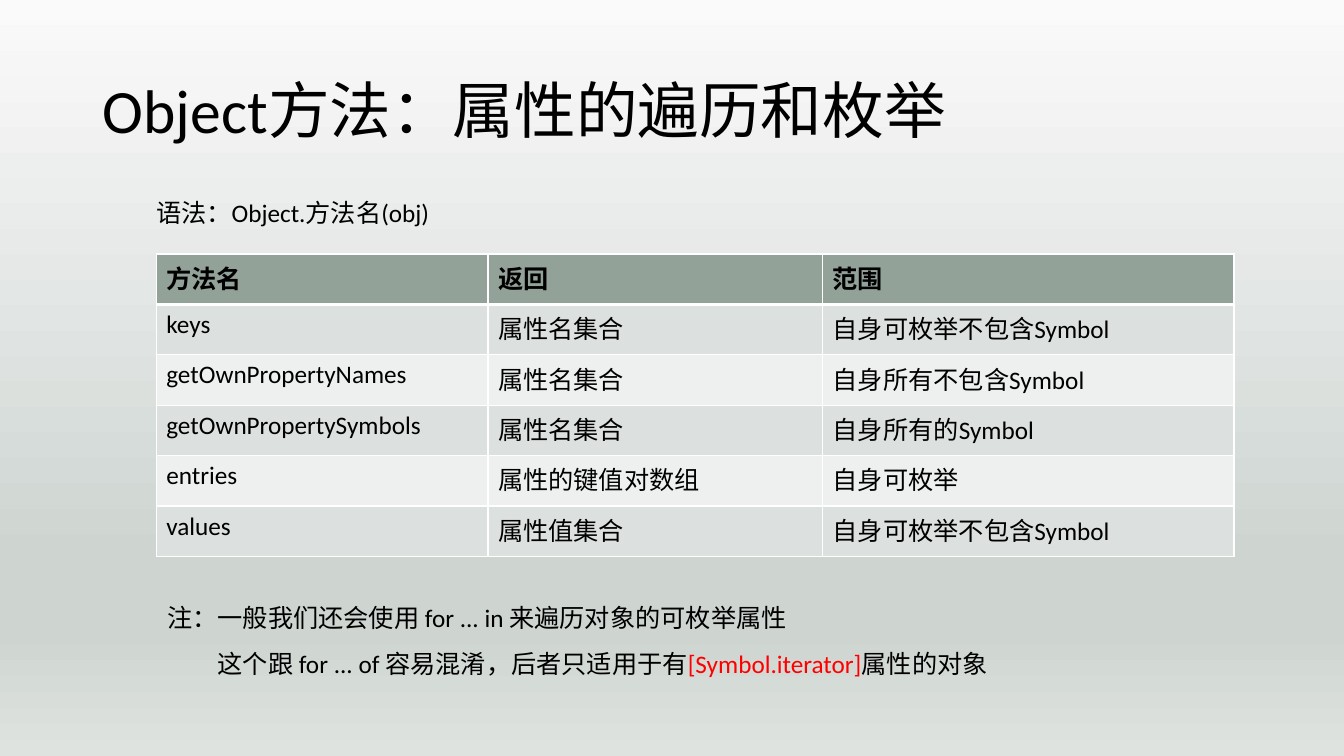
import pptx
import pptx.dml.color
import pptx.enum.text
import pptx.oxml
import pptx.oxml.ns
import pptx.util
from pptx.util import Inches

BLACK, WHITE, RED = "000000", "FFFFFF", "FF0000"
HEADER_FILL, BAND_FILLS = "93A299", ("DCE0DE", "EEF0EF")
BACKGROUND_STOPS = ((0, "FAFAFA"), (74, "CED5D1"), (83, "CED5D1"), (100, "DFE3E0"))
COLUMN_WIDTHS = (3.29, 3.32, 4.08)
ROW_HEIGHT = 0.5
METHODS = (
    ("方法名", "返回", "范围"),
    ("keys", "属性名集合", "自身可枚举不包含Symbol"),
    ("getOwnPropertyNames", "属性名集合", "自身所有不包含Symbol"),
    ("getOwnPropertySymbols", "属性名集合", "自身所有的Symbol"),
    ("entries", "属性的键值对数组", "自身可枚举"),
    ("values", "属性值集合", "自身可枚举不包含Symbol"),
)


def color(value):
    """Turn a hex string into a colour."""
    return pptx.dml.color.RGBColor.from_string(value)


def apply_format(target, values):
    """Set each named attribute on the target."""
    for name, value in values.items():
        setattr(target, name, value)


def add_run(paragraph, text, size=18, bold=False, fill=BLACK):
    """Append a formatted run to a paragraph."""
    run = paragraph.add_run()
    run.text = text
    apply_format(run.font, {"name": "Calibri", "size": pptx.util.Pt(size), "bold": bold})
    run.font.color.rgb = color(fill)


def add_text(slide, box, paragraphs, size=18, anchor="TOP"):
    """Add a text box from (line spacing, indent, runs) paragraphs."""
    shape = slide.shapes.add_textbox(*map(Inches, box))
    frame = shape.text_frame
    apply_format(frame, {
        "word_wrap": True,
        "vertical_anchor": getattr(pptx.enum.text.MSO_ANCHOR, anchor),
    })
    for index, (spacing, indent, runs) in enumerate(paragraphs):
        paragraph = frame.add_paragraph() if index else frame.paragraphs[0]
        paragraph.line_spacing = spacing
        if indent:
            paragraph._p.get_or_add_pPr().set("marL", str(Inches(indent)))
        for text, fill in runs:
            add_run(paragraph, text, size, fill=fill)


def set_borders(cell, widths):
    """Draw white borders of the given widths on a cell."""
    properties = cell._tc.get_or_add_tcPr()
    for index, (side, width) in enumerate(widths.items()):
        line = pptx.oxml.parse_xml(
            f'<a:ln{side} {pptx.oxml.ns.nsdecls("a")} w="{pptx.util.Pt(width)}">'
            f'<a:solidFill><a:srgbClr val="{WHITE}"/></a:solidFill></a:ln{side}>')
        properties.insert(index, line)


def add_method_table(slide, left, top):
    """Add the banded table of methods."""
    table = slide.shapes.add_table(
        len(METHODS), len(COLUMN_WIDTHS), Inches(left), Inches(top),
        Inches(sum(COLUMN_WIDTHS)), Inches(ROW_HEIGHT * len(METHODS))).table
    apply_format(table, {"first_row": False, "horz_banding": False})
    for column, width in zip(table.columns, COLUMN_WIDTHS):
        column.width = Inches(width)
    for row, texts in enumerate(METHODS):
        table.rows[row].height = Inches(ROW_HEIGHT)
        for column, text in enumerate(texts):
            cell = table.cell(row, column)
            cell.fill.solid()
            cell.fill.fore_color.rgb = color(BAND_FILLS[(row - 1) % 2] if row else HEADER_FILL)
            add_run(cell.text_frame.paragraphs[0], text, bold=row == 0)
            set_borders(cell, {"L": 1, "R": 1, "T": 3 if row == 1 else 1, "B": 1 if row else 3})


def set_background(slide):
    """Fill the background with a vertical gradient."""
    fill = slide.background.fill
    fill.gradient()
    fill.gradient_angle = 270
    stops = next(slide.element.iter(pptx.oxml.ns.qn("a:gsLst")))
    for stop in list(stops):
        stops.remove(stop)
    for position, value in BACKGROUND_STOPS:
        stops.append(pptx.oxml.parse_xml(
            f'<a:gs {pptx.oxml.ns.nsdecls("a")} pos="{position * 1000}">'
            f'<a:srgbClr val="{value}"/></a:gs>'))


def main():
    """Build and save the slide."""
    presentation = pptx.Presentation()
    apply_format(presentation, {"slide_width": Inches(13.33), "slide_height": Inches(7.5)})
    slide = presentation.slides.add_slide(presentation.slide_layouts[6])
    set_background(slide)
    add_text(slide, (0.92, 0.4, 11.99, 1.45),
             [(0.9, 0, [("Object方法：属性的遍历和枚举", BLACK)])], size=44, anchor="MIDDLE")
    add_method_table(slide, 1.55, 2.52)
    add_text(slide, (1.45, 1.76, 3.17, 0.55),
             [(1.5, 0, [("语法：Object.方法名(obj)", BLACK)])])
    add_text(slide, (1.56, 5.93, 8.61, 0.85), [
        (1.0, 0, [("注：一般我们还会使用 for ... in 来遍历对象的可枚举属性", BLACK)]),
        (1.5, 0.5, [("这个跟 for ... of 容易混淆，后者只适用于有", BLACK),
                    ("[Symbol.iterator]", RED), ("属性的对象", BLACK)]),
    ])
    presentation.save("out.pptx")


if __name__ == "__main__":
    main()
